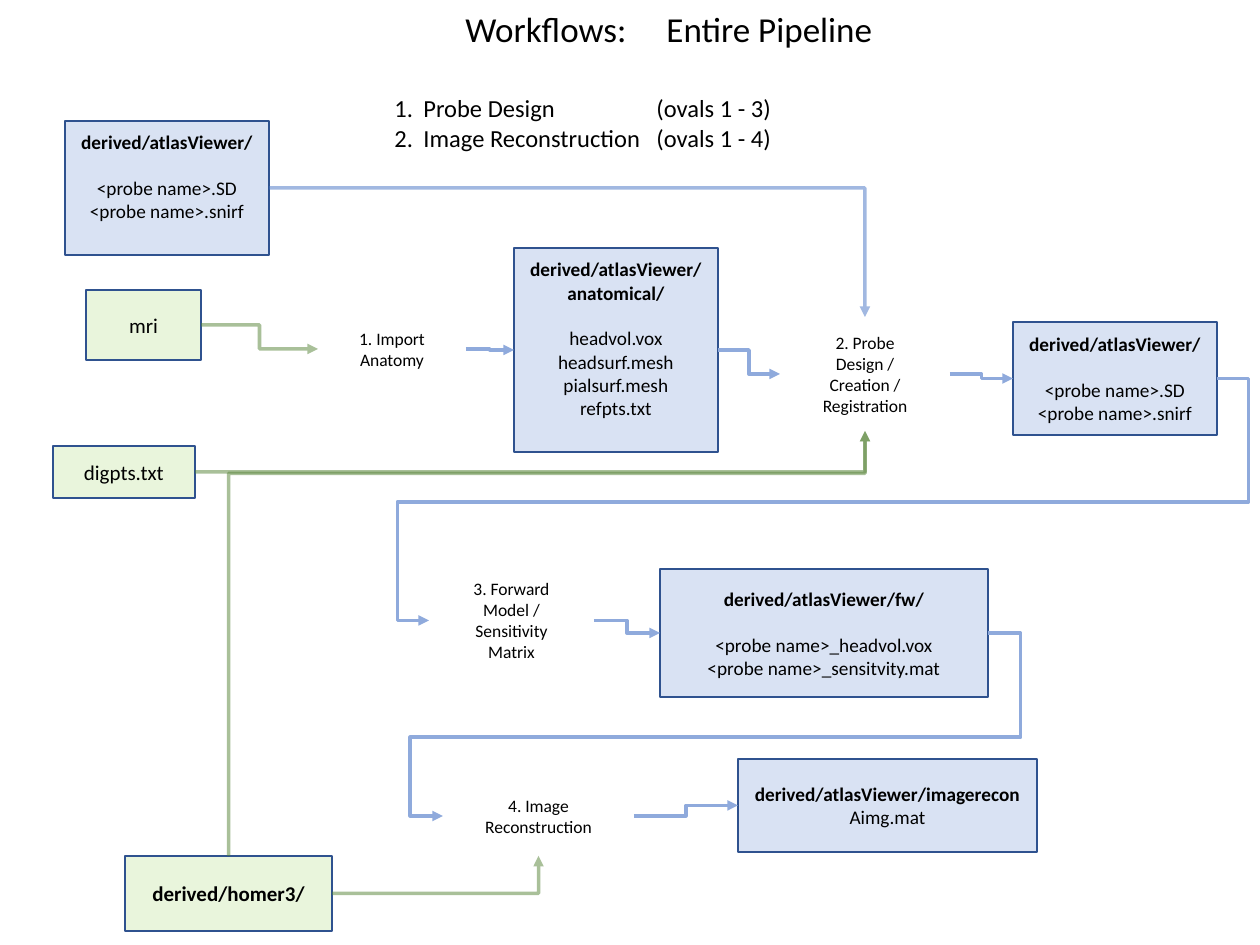
from dataclasses import dataclass

from pptx import Presentation
from pptx.dml.color import RGBColor
from pptx.enum import shapes, text
from pptx.oxml import ns, xmlchemy
from pptx import util as u

PX = u.Inches(1) // 126
TOP, LEFT, BOTTOM, RIGHT = range(4)


@dataclass(frozen=True)
class Theme:
    font: str = "Calibri"
    ink: str = "000000"
    outline: str = "2F528F"
    output: str = "4472C4"
    source: str = "92D050"
    blue_arrow: str = "8FAADC"
    green_arrow: str = "548235"
    title_size: int = 20
    list_size: int = 14
    source_size: int = 12
    output_size: int = 11
    step_size: int = 10
    section_gap: int = 13
    box_line: int = 1
    arrow_line: int = 2
    fill_alpha: int = 20
    arrow_alpha: int = 50


THEME = Theme()

SOURCES = {
    "homer": ((125, 856, 207, 75), "derived/homer3/", True),
    "digpts": ((53, 446, 142, 52), "digpts.txt", False),
    "mri": ((86, 290, 115, 70), "mri", False),
}
PROBE_FILES = ["<probe name>.SD", "<probe name>.snirf"]
OUTPUTS = {
    "anatomical": ((514, 248, 204, 204), ["derived/atlasViewer/", "anatomical/"],
                   ["headvol.vox", "headsurf.mesh", "pialsurf.mesh", "refpts.txt"], True, 23),
    "imagerecon": ((738, 759, 299, 93), ["derived/atlasViewer/imagerecon"],
                   ["Aimg.mat"], False, 0),
    "probe": ((65, 121, 204, 134), ["derived/atlasViewer/"], PROBE_FILES, True, 23),
    "registered": ((1013, 322, 204, 113), ["derived/atlasViewer/"], PROBE_FILES, True, 0),
    "forward": ((660, 569, 328, 128), ["derived/atlasViewer/fw/"],
                ["<probe name>_headvol.vox", "<probe name>_sensitvity.mat"], True, 0),
}
STEPS = {
    "step 1": ((318, 306, 148, 86), "1. Import Anatomy"),
    "step 2": ((780, 317, 170, 114), "2. Probe Design / Creation / Registration"),
    "step 3": ((429, 571, 165, 99), "3. Forward Model / Sensitivity Matrix"),
    "step 4": ((443, 776, 191, 80), "4. Image Reconstruction"),
}
BLUE = (THEME.blue_arrow, 100)
FADED_BLUE = (THEME.output, THEME.arrow_alpha)
GREEN = (THEME.green_arrow, THEME.arrow_alpha)
ARROWS = [
    ("mri", RIGHT, "step 1", LEFT, GREEN, [0.5]),
    ("digpts", RIGHT, "step 2", BOTTOM, GREEN, []),
    ("step 1", RIGHT, "anatomical", LEFT, BLUE, [0.5]),
    ("anatomical", RIGHT, "step 2", LEFT, BLUE, [0.5]),
    ("step 4", RIGHT, "imagerecon", LEFT, BLUE, [0.5]),
    ("forward", RIGHT, "step 4", LEFT, BLUE, [-0.06, 0.57, 1.06]),
    ("homer", RIGHT, "step 4", BOTTOM, GREEN, []),
    ("probe", RIGHT, "step 2", TOP, FADED_BLUE, []),
    ("step 2", RIGHT, "registered", LEFT, BLUE, [0.5]),
    ("registered", RIGHT, "step 3", LEFT, BLUE, [-0.04, 0.51, 1.04]),
    ("step 3", RIGHT, "forward", LEFT, BLUE, [0.5]),
    ("homer", TOP, "step 2", BOTTOM, GREEN, [0.9]),
]


def set_values(target, values):
    for name, value in values.items():
        setattr(target, name, value)


def add_element(parent, tag, **attributes):
    element = xmlchemy.OxmlElement(tag)
    for name, value in attributes.items():
        element.set(name, str(value))
    parent.append(element)
    return element


def set_alpha(parent, percent):
    if percent < 100:
        color = parent.find(ns.qn("a:solidFill"))[0]
        add_element(color, "a:alpha", val=percent * 1000)


def scaled(bounds):
    return [value * PX for value in bounds]


def write_lines(shape, lines, size, align=text.PP_ALIGN.CENTER, bold_count=0, gap=0):
    frame = shape.text_frame
    set_values(frame, {"word_wrap": True, "auto_size": text.MSO_AUTO_SIZE.NONE})
    for index, line in enumerate(lines):
        paragraph = frame.paragraphs[0] if index == 0 else frame.add_paragraph()
        paragraph.alignment = align
        if gap and index == bold_count:
            paragraph.space_before = u.Pt(gap)
        run = paragraph.add_run()
        run.text = line
        set_values(run.font, {"name": THEME.font, "size": u.Pt(size),
                              "bold": index < bold_count})
        run.font.color.rgb = RGBColor.from_string(THEME.ink)
    return frame


def add_box(slide, bounds, color):
    shape = slide.shapes.add_shape(shapes.MSO_SHAPE.RECTANGLE, *scaled(bounds))
    shape.shadow.inherit = False
    shape.fill.solid()
    shape.fill.fore_color.rgb = RGBColor.from_string(color)
    set_alpha(shape._element.spPr, THEME.fill_alpha)
    shape.line.color.rgb = RGBColor.from_string(THEME.outline)
    shape.line.width = u.Pt(THEME.box_line)
    shape.text_frame.vertical_anchor = text.MSO_ANCHOR.MIDDLE
    return shape


def add_source(slide, bounds, label, bold):
    shape = add_box(slide, bounds, THEME.source)
    write_lines(shape, [label], THEME.source_size, bold_count=int(bold))
    return shape


def add_output(slide, bounds, folder, files, spaced, below):
    shape = add_box(slide, bounds, THEME.output)
    frame = write_lines(shape, folder + files, THEME.output_size, bold_count=len(folder),
                        gap=THEME.section_gap if spaced else 0)
    frame.margin_bottom += below * PX
    return shape


def add_step(slide, bounds, label):
    shape = slide.shapes.add_textbox(*scaled(bounds))
    frame = write_lines(shape, [label], THEME.step_size)
    side = round(bounds[2] * 0.146 + 12) * PX
    set_values(frame, {"margin_left": side, "margin_right": side, "margin_top": 0,
                       "margin_bottom": 0, "vertical_anchor": text.MSO_ANCHOR.MIDDLE})
    return shape


def add_heading(slide, bounds, lines, size, tab, hang=0):
    shape = slide.shapes.add_textbox(*scaled(bounds))
    frame = write_lines(shape, lines, size, text.PP_ALIGN.LEFT)
    for paragraph in frame.paragraphs:
        properties = paragraph._p.get_or_add_pPr()
        if hang:
            properties.set("marL", str(hang * PX))
            properties.set("indent", str(-hang * PX))
            add_element(properties, "a:buFont", typeface=THEME.font)
            add_element(properties, "a:buAutoNum", type="arabicPeriod")
        tabs = add_element(properties, "a:tabLst")
        add_element(tabs, "a:tab", pos=tab * PX, algn="l")


def turn_upright(connector):
    width, height = connector.width, connector.height
    shift = (width - height) // 2
    set_values(connector, {"left": connector.left + shift, "top": connector.top - shift,
                           "width": height, "height": width})
    transform = connector._element.spPr.xfrm
    for name, value in {"rot": "5400000", "flipH": "1", "flipV": "1"}.items():
        transform.set(name, value)


def add_arrow(slide, start, start_side, end, end_side, style, bends):
    connector = slide.shapes.add_connector(shapes.MSO_CONNECTOR.ELBOW, 0, 0, 0, 0)
    connector.begin_connect(start, start_side)
    connector.end_connect(end, end_side)
    if start_side == TOP:
        turn_upright(connector)
    color, alpha = style
    connector.line.color.rgb = RGBColor.from_string(color)
    connector.line.width = u.Pt(THEME.arrow_line)
    properties = connector._element.spPr
    geometry = properties.prstGeom
    geometry.set("prst", f"bentConnector{len(bends) + 2}")
    geometry.rewrite_guides([(f"adj{number}", round(bend * 100000))
                             for number, bend in enumerate(bends, 1)])
    line = properties.find(ns.qn("a:ln"))
    set_alpha(line, alpha)
    add_element(line, "a:tailEnd", type="triangle")
    add_element(properties, "a:effectLst")


def main():
    presentation = Presentation()
    set_values(presentation, {"slide_width": 1260 * PX, "slide_height": 945 * PX})
    slide = presentation.slides.add_slide(presentation.slide_layouts[6])
    add_heading(slide, (453, 1, 450, 55), ["Workflows:\tEntire Pipeline"],
                THEME.title_size, 201)
    add_heading(slide, (382, 87, 420, 72),
                ["Probe Design\t(ovals 1 - 3)", "Image Reconstruction\t(ovals 1 - 4)"],
                THEME.list_size, 262, 29)
    nodes = {}
    for add, items in ((add_source, SOURCES), (add_output, OUTPUTS), (add_step, STEPS)):
        for name, values in items.items():
            nodes[name] = add(slide, *values)
    for start, start_side, end, end_side, style, bends in ARROWS:
        add_arrow(slide, nodes[start], start_side, nodes[end], end_side, style, bends)
    presentation.save("out.pptx")


if __name__ == "__main__":
    main()
